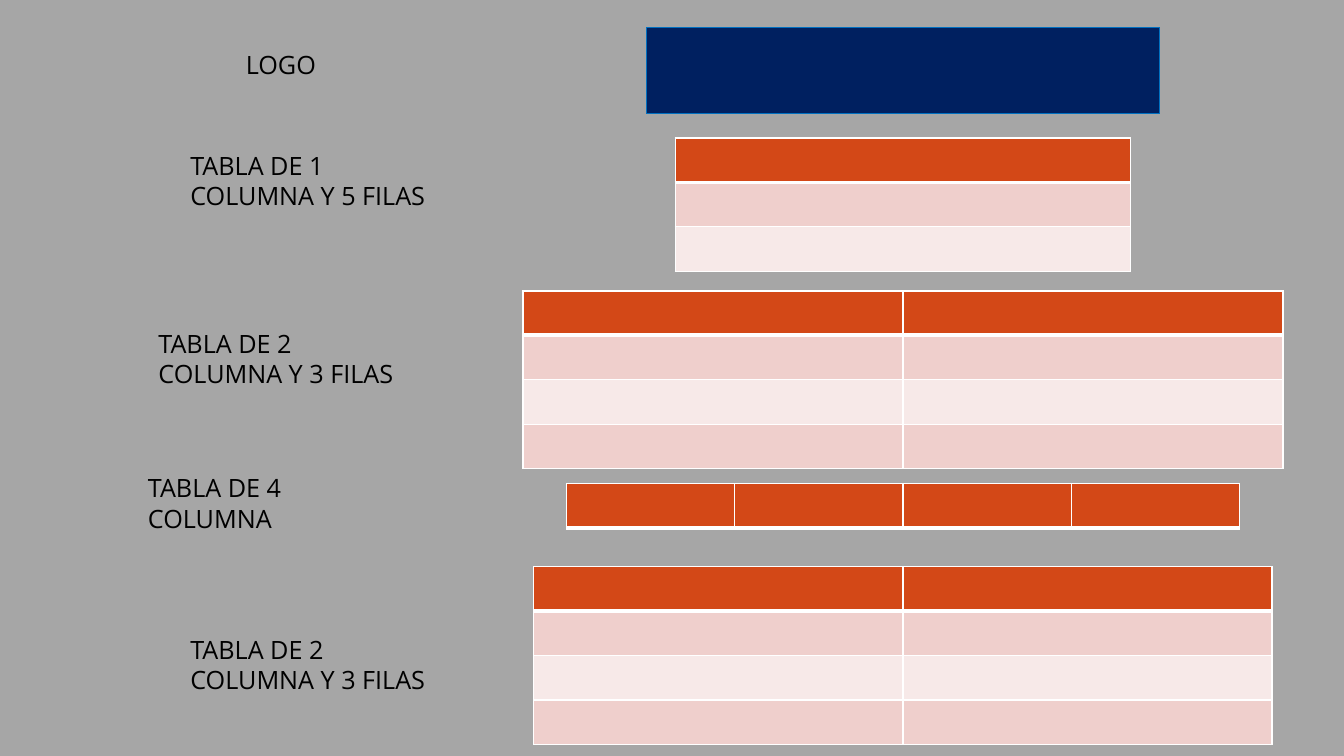
from lxml.etree import SubElement
from pptx import Presentation
from pptx.dml.color import RGBColor
from pptx.enum.shapes import MSO_SHAPE
from pptx.enum.text import MSO_AUTO_SIZE
from pptx.oxml.ns import qn
from pptx.util import Pt

GREY = RGBColor(0xA6, 0xA6, 0xA6)
NAVY = RGBColor(0x00, 0x20, 0x60)
BLUE = RGBColor(0x00, 0x70, 0xC0)
ORANGE = RGBColor(0xD3, 0x48, 0x17)
ROSE = RGBColor(0xEF, 0xCF, 0xCC)
PALE = RGBColor(0xF7, 0xE9, 0xE8)
WHITE = RGBColor(0xFF, 0xFF, 0xFF)
BLACK = RGBColor(0x00, 0x00, 0x00)
FONT = "Open Sans"
CENTRE = 645


def add_border(tc_pr, side, width):
    ln = SubElement(tc_pr, qn(f"a:ln{side}"), w=str(Pt(width)))
    fill = SubElement(ln, qn("a:solidFill"))
    SubElement(fill, qn("a:srgbClr"), val=str(WHITE))


prs = Presentation()
prs.slide_width, prs.slide_height = Pt(960), Pt(540)
s = prs.slides.add_slide(prs.slide_layouts[6])
s.background.fill.solid()
s.background.fill.fore_color.rgb = GREY

sp = s.shapes.add_shape(MSO_SHAPE.RECTANGLE, Pt(CENTRE - 183.25), Pt(19.4), Pt(366.5), Pt(61.9))
sp.shadow.inherit = False
sp.fill.solid()
sp.fill.fore_color.rgb = NAVY
sp.line.color.rgb = BLUE
sp.line.width = Pt(0.85)

tables = [
    (98.6, 86.4, 3, 1, 325.4, 20.9),
    (207.8, 115.2, 4, 2, 271.4, 21.6),
    (345.6, 29.2, 1, 4, 120.2, 29.2),
    (404.8, 116.8, 4, 2, 263.7, 29.2),
]
for top, height, rows, cols, col_width, row_height in tables:
    width = cols * col_width
    frame = s.shapes.add_table(rows, cols, Pt(CENTRE - width / 2), Pt(top), Pt(width), Pt(height))
    table = frame.table
    for col in table.columns:
        col.width = Pt(col_width)
    for i, row in enumerate(table.rows):
        row.height = Pt(row_height)
        for cell in row.cells:
            tc_pr = cell._tc.get_or_add_tcPr()
            borders = {"L": 1, "R": 1, "T": 3 if i == 1 else 1, "B": 3 if i == 0 else 1}
            for side, line_width in borders.items():
                add_border(tc_pr, side, line_width)
            cell.fill.solid()
            cell.fill.fore_color.rgb = ORANGE if i == 0 else ROSE if i % 2 else PALE
            end = SubElement(cell.text_frame.paragraphs[0]._p, qn("a:endParaRPr"), sz="1800")
            SubElement(end, qn("a:latin"), typeface=FONT)

labels = [
    ("LOGO", 168.5, 31.7, 29.1),
    ("TABLA DE 1 COLUMNA Y 5 FILAS", 128.9, 103.7, 50.9),
    ("TABLA DE 2 COLUMNA Y 3 FILAS", 106.1, 231.1, 50.9),
    ("TABLA DE 4 COLUMNA", 98.6, 334.1, 50.9),
    ("TABLA DE 2 COLUMNA Y 3 FILAS", 128.9, 449.3, 50.9),
]
for text, left, top, height in labels:
    tf = s.shapes.add_textbox(Pt(left), Pt(top), Pt(196.6), Pt(height)).text_frame
    tf.word_wrap = True
    tf.auto_size = MSO_AUTO_SIZE.SHAPE_TO_FIT_TEXT
    r = tf.paragraphs[0].add_run()
    r.text = text
    for name, value in {"name": FONT, "size": Pt(18)}.items():
        setattr(r.font, name, value)
    r.font.color.rgb = BLACK

prs.save("out.pptx")
